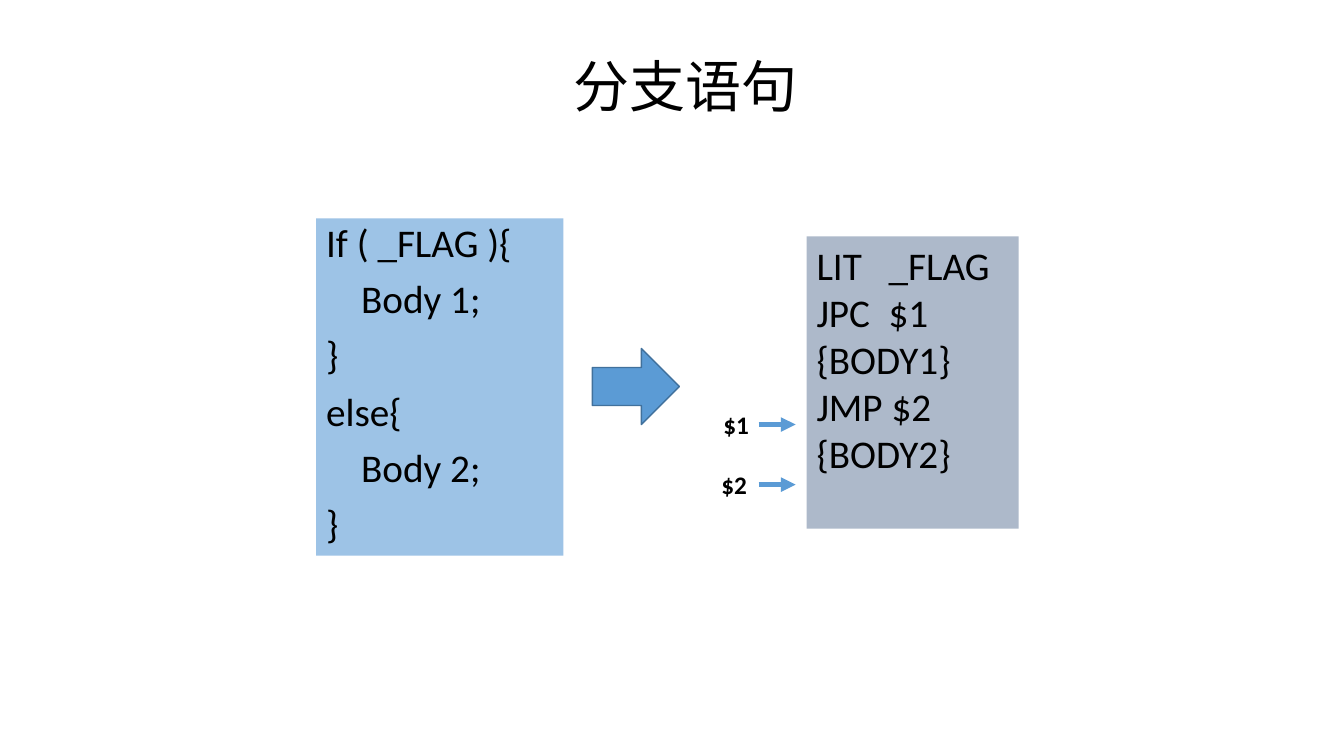
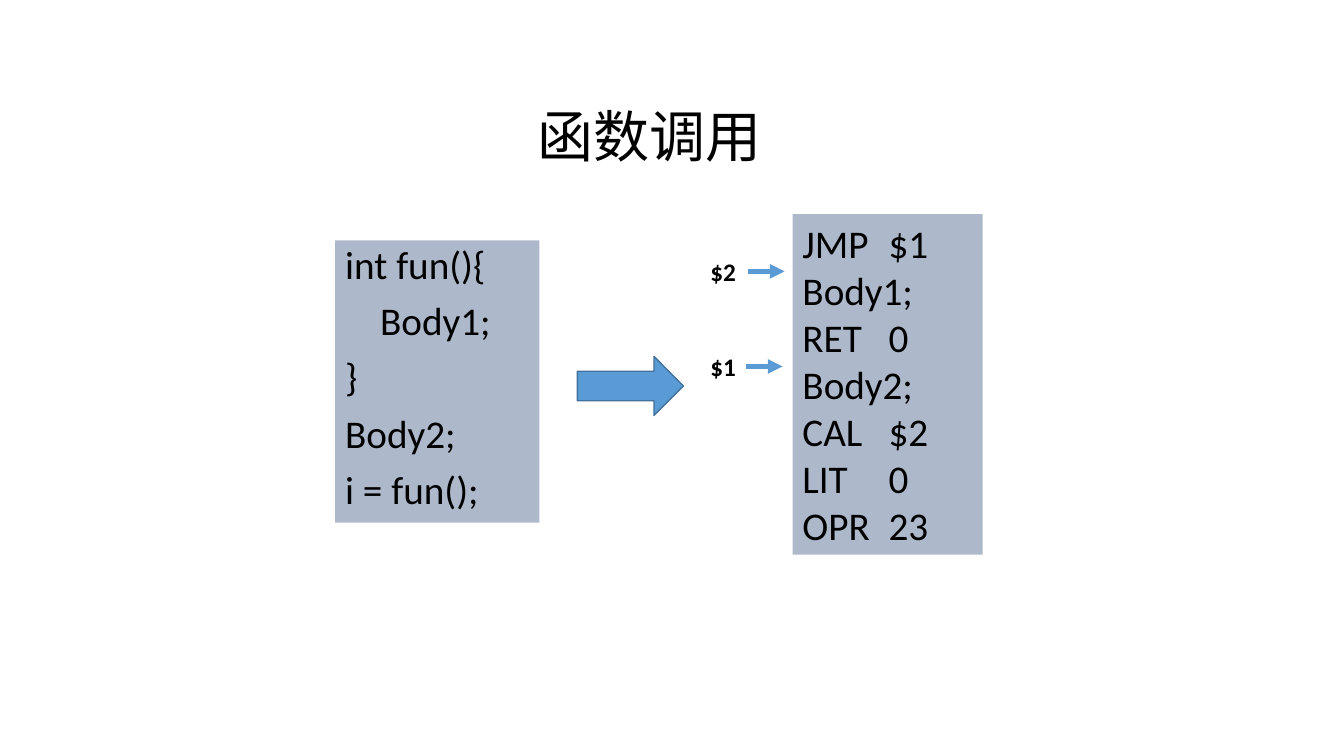
from lxml import etree
from pptx import Presentation
from pptx.dml.color import RGBColor
from pptx.enum.shapes import MSO_CONNECTOR, MSO_SHAPE
from pptx.enum.text import MSO_ANCHOR, MSO_AUTO_SIZE, PP_ALIGN
from pptx.oxml.ns import qn
from pptx.util import Emu, Pt

RECTANGLE, RIGHT_ARROW = MSO_SHAPE.RECTANGLE, MSO_SHAPE.RIGHT_ARROW
STRAIGHT = MSO_CONNECTOR.STRAIGHT
TOP, LEFT, NO_AUTOFIT = MSO_ANCHOR.TOP, PP_ALIGN.LEFT, MSO_AUTO_SIZE.NONE

BLACK = RGBColor(0x00, 0x00, 0x00)
SKY = RGBColor(0x9D, 0xC3, 0xE6)
SLATE = RGBColor(0xAD, 0xB9, 0xCA)
BLUE = RGBColor(0x5B, 0x9B, 0xD5)
DARK_BLUE = RGBColor(0x41, 0x71, 0x9C)

# Shared text styles
TITLE_FONT = {"name": "Noto Sans CJK SC", "size": Pt(40), "bold": False}
CODE_FONT = {"name": "Calibri", "size": Pt(28), "bold": False}
LABEL_FONT = {"name": "Calibri", "size": Pt(18), "bold": True}
SOURCE_SPACING = {"line_spacing": 0.9, "space_before": Pt(10)}
TARGET_SPACING = {"line_spacing": 1.0, "space_before": Pt(0)}

EMU_PER_PX = 914400 / 100.7
LABEL_SIZE = (45, 40)
POINTER_LENGTH = 37


def px(*lengths):
    return [Emu(round(length * EMU_PER_PX)) for length in lengths]


def write(shape, lines, font, spacing=TARGET_SPACING, tab=None, wrap=False):
    frame = shape.text_frame
    frame.word_wrap = wrap
    frame.auto_size = NO_AUTOFIT
    frame.vertical_anchor = TOP
    for number, line in enumerate(lines):
        paragraph = frame.add_paragraph() if number else frame.paragraphs[0]
        paragraph.alignment = LEFT
        for key, value in spacing.items():
            setattr(paragraph, key, value)
        if tab:
            stops = etree.SubElement(paragraph._p.get_or_add_pPr(), qn("a:tabLst"))
            etree.SubElement(stops, qn("a:tab"), pos=str(px(tab)[0]), algn="l")
        run = paragraph.add_run()
        run.text = line
        for key, value in font.items():
            setattr(run.font, key, value)
        run.font.color.rgb = BLACK
        etree.SubElement(run._r.get_or_add_rPr(), qn("a:ea"), typeface=font["name"])


# Each code block: box, fill, tab stop, spacing, lines
# Each pointer: label, label left, pointer left, pointer height on the slide
SLIDES = [
    {
        "title": ("分支语句", (563, 46, 248, 78)),
        "blocks": [
            ((316, 218, 247, 337), SKY, 35, SOURCE_SPACING,
             ["If ( _FLAG ){", "\tBody 1;", "}", "else{", "\tBody 2;", "}"]),
            ((806, 236, 212, 292), SLATE, 72, TARGET_SPACING,
             ["LIT\t_FLAG", "JPC\t$1", "{BODY1}", "JMP $2", "{BODY2}"]),
        ],
        "arrow": (592, 348, 87, 76),
        "pointers": [("$1", 713, 758, 424), ("$2", 711, 758, 484)],
    },
    {
        "title": ("函数调用", (527, 96, 244, 78)),
        "blocks": [
            ((335, 240, 204, 282), SLATE, 35, SOURCE_SPACING,
             ["int fun(){", "\tBody1;", "}", "Body2;", "i = fun();"]),
            ((792, 214, 190, 340), SLATE, 86, TARGET_SPACING,
             ["JMP\t$1", "Body1;", "RET\t0", "Body2;", "CAL\t$2", "LIT\t0", "OPR\t23"]),
        ],
        "arrow": (577, 356, 106, 59),
        "pointers": [("$1", 700, 745, 366), ("$2", 700, 747, 271)],
    },
]

deck = Presentation()
deck.slide_width, deck.slide_height = px(1343, 755)
title_only = deck.slide_layouts[5]

for content in SLIDES:
    slide = deck.slides.add_slide(title_only)
    shapes = slide.shapes

    # Title
    heading, heading_box = content["title"]
    title = shapes.title
    title.left, title.top, title.width, title.height = px(*heading_box)
    write(title, [heading], TITLE_FONT)

    # Source code and the instructions it becomes
    for box, fill, tab, spacing, lines in content["blocks"]:
        code = shapes.add_shape(RECTANGLE, *px(*box))
        code.shadow.inherit = False
        code.fill.solid()
        code.fill.fore_color.rgb = fill
        code.line.fill.background()
        write(code, lines, CODE_FONT, spacing, tab, wrap=True)

    # Translation arrow
    translation = shapes.add_shape(RIGHT_ARROW, *px(*content["arrow"]))
    translation.shadow.inherit = False
    translation.fill.solid()
    translation.fill.fore_color.rgb = BLUE
    translation.line.color.rgb = DARK_BLUE
    translation.line.width = Pt(1)

    # Jump targets
    for name, label_left, pointer_left, y in content["pointers"]:
        label = shapes.add_textbox(*px(label_left, y - LABEL_SIZE[1] // 2, *LABEL_SIZE))
        write(label, [name], LABEL_FONT)
        pointer = shapes.add_connector(
            STRAIGHT, *px(pointer_left, y, pointer_left + POINTER_LENGTH, y))
        pointer.line.color.rgb = BLUE
        pointer.line.width = Pt(3.5)
        etree.SubElement(pointer.line._get_or_add_ln(), qn("a:tailEnd"), type="triangle")
        etree.SubElement(pointer._element.spPr, qn("a:effectLst"))

deck.save("out.pptx")
